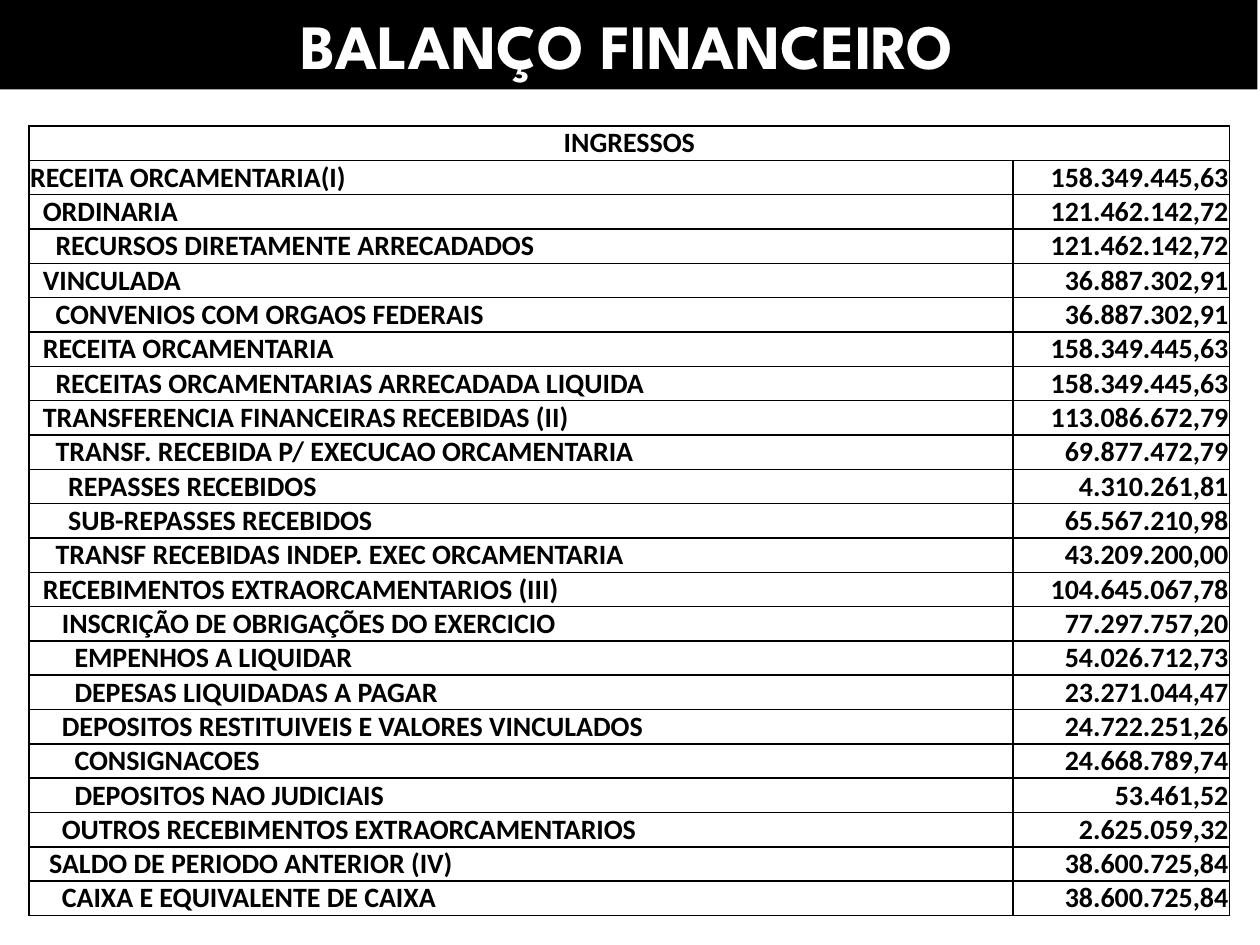
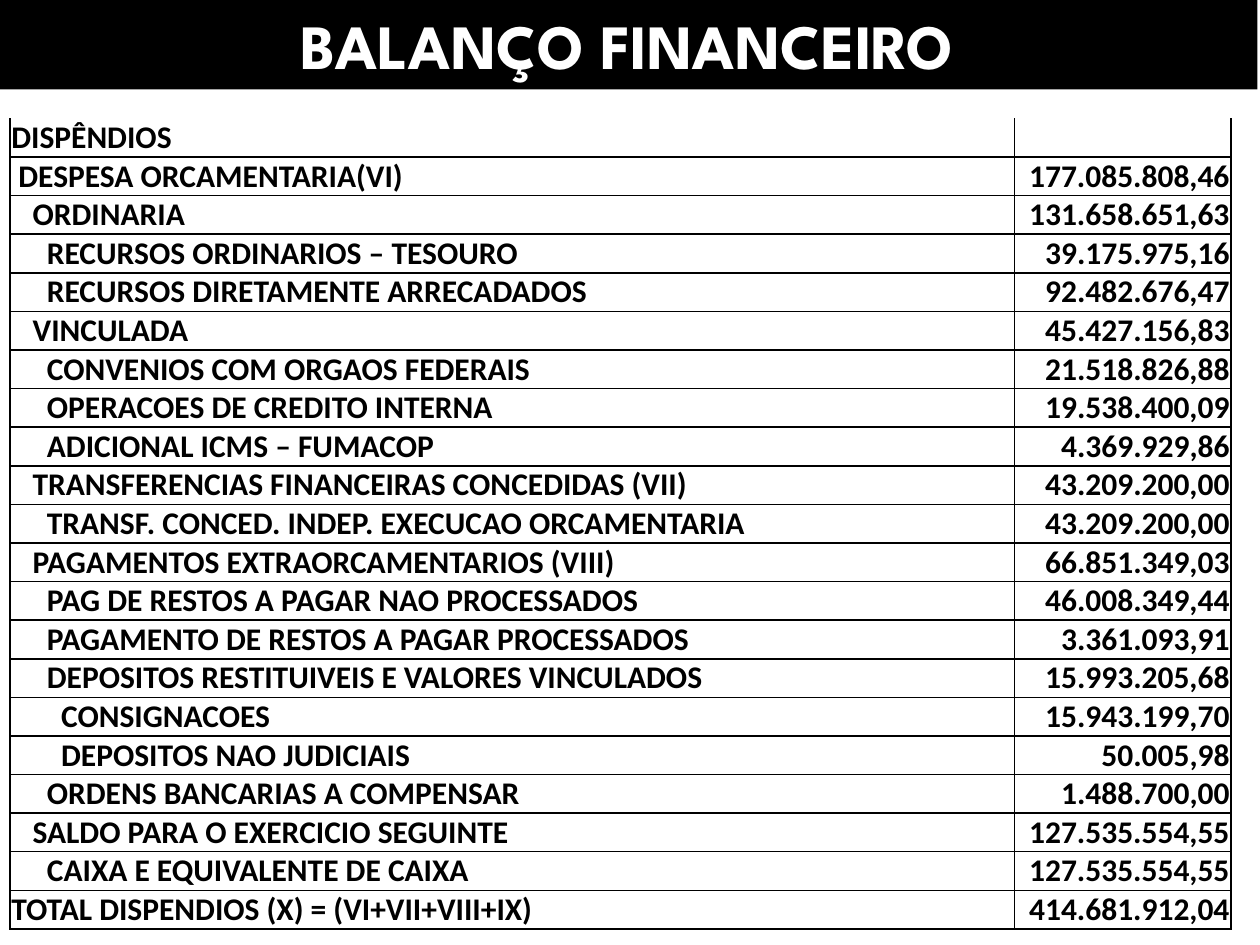
from typing import NamedTuple

from lxml import etree
from pptx import Presentation
from pptx import util as u
from pptx.dml.color import RGBColor
from pptx.enum import shapes, text
from pptx.oxml import ns

BLACK, WHITE = "000000", "FFFFFF"
HEAD, BODY = "League Spartan", "Calibri"
SPACE = 0.226  # width of one indent step, in ems of the body font
SUM_W = 1.72


class Row(NamedTuple):
    step: int
    label: str
    value: str = ""


class Sheet(NamedTuple):
    left: float
    top: float
    width: float
    height: float
    size: int
    boxed: bool  # merged, centred heading with a line above it
    rows: list[Row]


INCOME = [
    Row(0, "INGRESSOS"),
    Row(0, "RECEITA ORCAMENTARIA(I)", "158.349.445,63"),
    Row(2, "ORDINARIA", "121.462.142,72"),
    Row(4, "RECURSOS DIRETAMENTE ARRECADADOS", "121.462.142,72"),
    Row(2, "VINCULADA", "36.887.302,91"),
    Row(4, "CONVENIOS COM ORGAOS FEDERAIS", "36.887.302,91"),
    Row(2, "RECEITA ORCAMENTARIA", "158.349.445,63"),
    Row(4, "RECEITAS ORCAMENTARIAS ARRECADADA LIQUIDA", "158.349.445,63"),
    Row(2, "TRANSFERENCIA FINANCEIRAS RECEBIDAS (II)", "113.086.672,79"),
    Row(4, "TRANSF. RECEBIDA P/ EXECUCAO ORCAMENTARIA", "69.877.472,79"),
    Row(6, "REPASSES RECEBIDOS", "4.310.261,81"),
    Row(6, "SUB-REPASSES RECEBIDOS", "65.567.210,98"),
    Row(4, "TRANSF RECEBIDAS INDEP. EXEC ORCAMENTARIA", "43.209.200,00"),
    Row(2, "RECEBIMENTOS EXTRAORCAMENTARIOS (III)", "104.645.067,78"),
    Row(5, "INSCRIÇÃO DE OBRIGAÇÕES DO EXERCICIO", "77.297.757,20"),
    Row(7, "EMPENHOS A LIQUIDAR", "54.026.712,73"),
    Row(7, "DEPESAS LIQUIDADAS A PAGAR", "23.271.044,47"),
    Row(5, "DEPOSITOS RESTITUIVEIS E VALORES VINCULADOS", "24.722.251,26"),
    Row(7, "CONSIGNACOES", "24.668.789,74"),
    Row(7, "DEPOSITOS NAO JUDICIAIS", "53.461,52"),
    Row(5, "OUTROS RECEBIMENTOS EXTRAORCAMENTARIOS", "2.625.059,32"),
    Row(3, "SALDO DE PERIODO ANTERIOR (IV)", "38.600.725,84"),
    Row(5, "CAIXA E EQUIVALENTE DE CAIXA", "38.600.725,84"),
]

SPENDING = [
    Row(0, "DISPÊNDIOS"),
    Row(1, "DESPESA ORCAMENTARIA(VI)", "177.085.808,46"),
    Row(3, "ORDINARIA", "131.658.651,63"),
    Row(5, "RECURSOS ORDINARIOS – TESOURO", "39.175.975,16"),
    Row(5, "RECURSOS DIRETAMENTE ARRECADADOS", "92.482.676,47"),
    Row(3, "VINCULADA", "45.427.156,83"),
    Row(5, "CONVENIOS COM ORGAOS FEDERAIS", "21.518.826,88"),
    Row(5, "OPERACOES DE CREDITO INTERNA", "19.538.400,09"),
    Row(5, "ADICIONAL ICMS – FUMACOP", "4.369.929,86"),
    Row(3, "TRANSFERENCIAS FINANCEIRAS CONCEDIDAS (VII)", "43.209.200,00"),
    Row(5, "TRANSF. CONCED. INDEP. EXECUCAO ORCAMENTARIA", "43.209.200,00"),
    Row(3, "PAGAMENTOS EXTRAORCAMENTARIOS (VIII)", "66.851.349,03"),
    Row(5, "PAG DE RESTOS A PAGAR NAO PROCESSADOS", "46.008.349,44"),
    Row(5, "PAGAMENTO DE RESTOS A PAGAR PROCESSADOS", "3.361.093,91"),
    Row(5, "DEPOSITOS RESTITUIVEIS E VALORES VINCULADOS", "15.993.205,68"),
    Row(7, "CONSIGNACOES", "15.943.199,70"),
    Row(7, "DEPOSITOS NAO JUDICIAIS", "50.005,98"),
    Row(5, "ORDENS BANCARIAS A COMPENSAR", "1.488.700,00"),
    Row(3, "SALDO PARA O EXERCICIO SEGUINTE", "127.535.554,55"),
    Row(5, "CAIXA E EQUIVALENTE DE CAIXA", "127.535.554,55"),
    Row(0, "TOTAL DISPENDIOS (X) = (VI+VII+VIII+IX)", "414.681.912,04"),
]

SHEETS = [
    Sheet(0.23, 1, 9.53, 6.27, 16, True, INCOME),
    Sheet(0.08, 0.94, 9.69, 6.44, 18, False, SPENDING),
]


def paint(target, color: str) -> None:
    """Give a fill or a line one solid colour."""
    target.solid()
    target.fore_color.rgb = RGBColor.from_string(color)


def style(par, face: str, size: int, color: str, align) -> None:
    par.alignment = align
    font = par.font
    font.name, font.size, font.bold = face, u.Pt(size), True
    font.color.rgb = RGBColor.from_string(color)


def add_band(slide) -> None:
    band = slide.shapes.add_shape(shapes.MSO_SHAPE.RECTANGLE, u.Inches(-0.02), 0,
                                  u.Inches(10), u.Inches(0.71))
    band.shadow.inherit = False
    paint(band.fill, BLACK)
    band.line.fill.background()
    frame = band.text_frame
    frame.word_wrap = True
    frame.auto_size = text.MSO_AUTO_SIZE.SHAPE_TO_FIT_TEXT
    frame.text = "BALANÇO FINANCEIRO"
    style(frame.paragraphs[0], HEAD, 36, WHITE, text.PP_ALIGN.CENTER)


def add_edges(cell, top: bool) -> None:
    """Rule the cell with 1 pt lines, leaving the top open if asked."""
    props = cell._tc.get_or_add_tcPr()
    for side in "LRTB":
        edge = etree.SubElement(props, ns.qn(f"a:ln{side}"), w=str(u.Pt(1)))
        if side == "T" and not top:
            etree.SubElement(edge, ns.qn("a:noFill"))
        else:
            fill = etree.SubElement(edge, ns.qn("a:solidFill"))
            etree.SubElement(fill, ns.qn("a:srgbClr"), val=BLACK)


def fill_cell(cell, words: str, size: int, align, step: int, top: bool) -> None:
    add_edges(cell, top)
    cell.fill.background()
    cell.margin_left = u.Inches(0.01) + u.Pt(step * size * SPACE)
    cell.margin_right = u.Inches(0.01)
    cell.margin_top = cell.margin_bottom = 0
    cell.vertical_anchor = text.MSO_ANCHOR.BOTTOM
    cell.text = words
    style(cell.text_frame.paragraphs[0], BODY, size, BLACK, align)


def add_sheet(slide, sheet: Sheet) -> None:
    count = len(sheet.rows)
    box = map(u.Inches, (sheet.left, sheet.top, sheet.width, sheet.height))
    table = slide.shapes.add_table(count, 2, *box).table
    table.first_row = table.horz_banding = False
    table.columns[0].width = u.Inches(sheet.width - SUM_W)
    table.columns[1].width = u.Inches(SUM_W)
    left, mid, right = text.PP_ALIGN.LEFT, text.PP_ALIGN.CENTER, text.PP_ALIGN.RIGHT
    for num, row in enumerate(sheet.rows):
        table.rows[num].height = u.Inches(sheet.height / count)
        top = sheet.boxed or num > 0
        align = mid if sheet.boxed and num == 0 else left
        fill_cell(table.cell(num, 0), row.label, sheet.size, align, row.step, top)
        fill_cell(table.cell(num, 1), row.value, sheet.size, right, 0, top)
    if sheet.boxed:
        table.cell(0, 0).merge(table.cell(0, 1))


def main() -> None:
    deck = Presentation()
    deck.slide_width, deck.slide_height = u.Inches(10), u.Inches(7.5)
    for sheet in SHEETS:
        slide = deck.slides.add_slide(deck.slide_layouts[6])
        add_band(slide)
        add_sheet(slide, sheet)
    deck.save("out.pptx")


if __name__ == "__main__":
    main()
